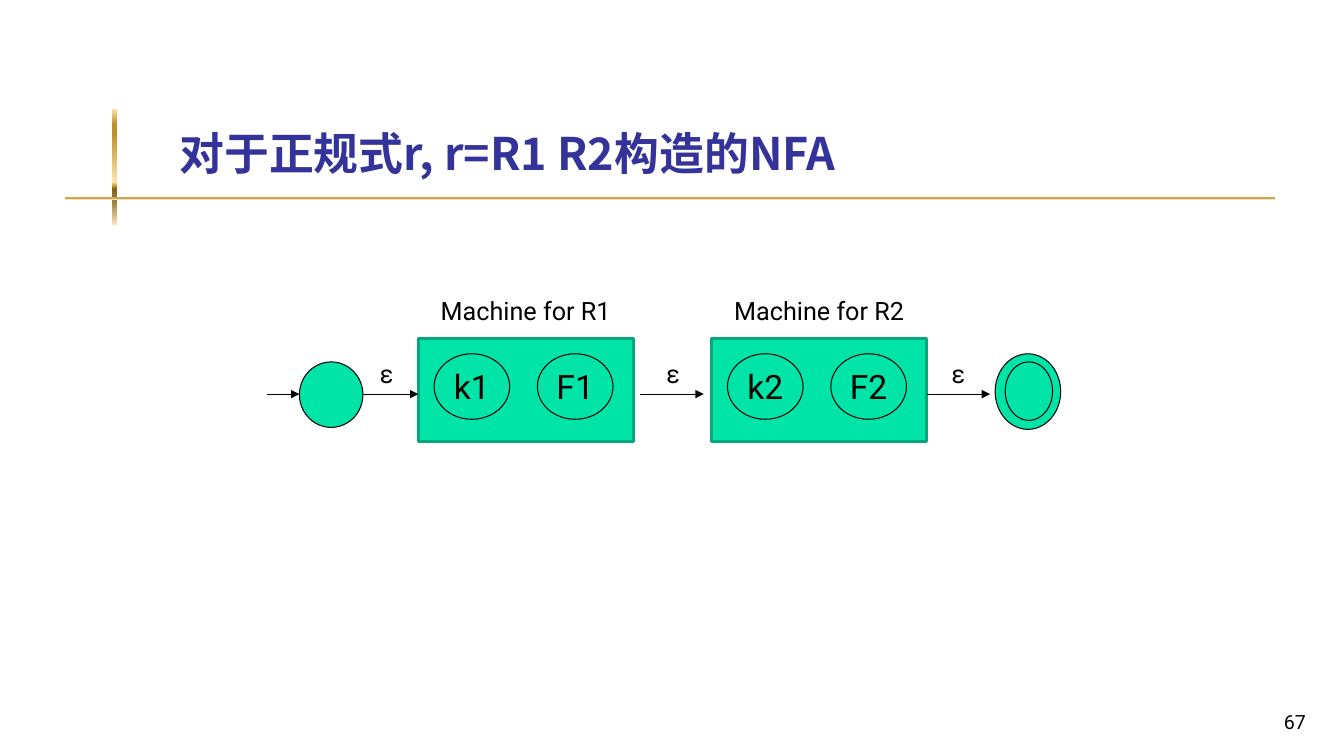
from dataclasses import dataclass

from lxml import etree
from pptx import Presentation
from pptx import util as u
from pptx.dml import color
from pptx.enum import shapes as kinds, text
from pptx.oxml import ns

WIDTH, HEIGHT = 13.33, 7.5
COLUMN = u.Inches(WIDTH) / 133.3
ROW = u.Inches(HEIGHT) / 75
AXIS = 39.1
BOX_TOP, BOX_WIDTH, BOX_HEIGHT = 33.6, 21.3, 10.2
STATE_TOP = 35.1


@dataclass(frozen=True)
class Theme:
    """Colours, fonts and type sizes of the slide."""

    ink: str = "000000"
    title: str = "333399"
    fill: str = "00E4A8"
    edge: str = "00A97C"
    gold: tuple = (
        (0, "FBE4AE"), (13, "BD922A"), (21, "BD922A"), (63, "FBE4AE"),
        (67, "BD922A"), (69, "835E17"), (82, "A28949"), (100, "FAE3B7"),
    )
    font: str = "Roboto"
    title_font: str = "Noto Sans CJK JP"
    title_size: int = 32
    state_size: int = 24
    label_size: int = 18
    number_size: int = 14
    thin: float = 0.75
    thick: float = 2


THEME = Theme()


def rgb(value):
    """Turn a hex string into a colour."""
    return color.RGBColor.from_string(value)


def place(left, top, width, height):
    """Turn grid columns and rows into slide lengths."""
    return (round(left * COLUMN), round(top * ROW),
            round(width * COLUMN), round(height * ROW))


def write(frame, words, size, align=text.PP_ALIGN.LEFT,
          anchor=text.MSO_ANCHOR.TOP, wrap=True):
    """Write one run into a text frame and return the run."""
    frame.word_wrap = wrap
    frame.vertical_anchor = anchor
    paragraph = frame.paragraphs[0]
    paragraph.alignment = align
    run = paragraph.add_run()
    run.text = words
    run.font.size = u.Pt(size)
    run.font.name = THEME.font
    run.font.color.rgb = rgb(THEME.ink)
    return run


def add_title(slide, words):
    """Place and format the title placeholder."""
    title = slide.shapes.title
    title.left, title.top, title.width, title.height = place(16.8, 2.3, 113.6, 16)
    title.text_frame.auto_size = text.MSO_AUTO_SIZE.NONE
    run = write(title.text_frame, words, THEME.title_size,
                anchor=text.MSO_ANCHOR.BOTTOM)
    run.font.name = THEME.title_font
    run.font.bold = True
    run.font.color.rgb = rgb(THEME.title)
    east_asian = etree.SubElement(run.font._element, ns.qn("a:ea"))
    east_asian.set("typeface", THEME.title_font)


def add_rule(shapes, *area):
    """Add a golden bar with a vertical gradient."""
    bar = shapes.add_shape(kinds.MSO_SHAPE.RECTANGLE, *place(*area))
    bar.shadow.inherit = False
    bar.line.fill.background()
    bar.fill.gradient()
    bar.fill.gradient_angle = 270
    stops = bar._element.spPr.find(".//" + ns.qn("a:gsLst"))
    for stop in list(stops):
        stops.remove(stop)
    for position, value in THEME.gold:
        stop = etree.SubElement(stops, ns.qn("a:gs"), pos=str(position * 1000))
        etree.SubElement(stop, ns.qn("a:srgbClr"), val=value)


def add_node(shapes, kind, area, edge=THEME.ink, weight=THEME.thin):
    """Add a filled and outlined shape."""
    node = shapes.add_shape(kind, *place(*area))
    node.shadow.inherit = False
    node.fill.solid()
    node.fill.fore_color.rgb = rgb(THEME.fill)
    node.line.color.rgb = rgb(edge)
    node.line.width = u.Pt(weight)
    return node


def add_arrow(shapes, start, end):
    """Add an arrow along the axis of the automaton."""
    left, top, length, _ = place(start, AXIS, end - start, 0)
    arrow = shapes.add_connector(kinds.MSO_CONNECTOR.STRAIGHT,
                                 left, top, left + length, top)
    arrow.line.color.rgb = rgb(THEME.ink)
    arrow.line.width = u.Pt(THEME.thin)
    etree.SubElement(arrow.line._get_or_add_ln(), ns.qn("a:tailEnd"), type="triangle")
    etree.SubElement(arrow._element.spPr, ns.qn("a:effectLst"))


def add_label(shapes, words, area, size=THEME.label_size, **layout):
    """Add a text box."""
    box = shapes.add_textbox(*place(*area))
    write(box.text_frame, words, size, **layout)


def add_machine(shapes, number, left):
    """Add a machine box with its heading, first state and final state."""
    add_node(shapes, kinds.MSO_SHAPE.RECTANGLE,
             (left, BOX_TOP, BOX_WIDTH, BOX_HEIGHT), THEME.edge, THEME.thick)
    for name, offset in (("k", 1.55), ("F", 11.8)):
        state = add_node(shapes, kinds.MSO_SHAPE.OVAL,
                         (left + offset, STATE_TOP, 7.5, 6.5))
        write(state.text_frame, f"{name}{number}", THEME.state_size,
              text.PP_ALIGN.CENTER, text.MSO_ANCHOR.MIDDLE, False)
    add_label(shapes, f"Machine for R{number}", (left + 0.8, 28.8, 19.7, 4),
              align=text.PP_ALIGN.CENTER)


def main():
    """Build the slide and save it."""
    presentation = Presentation()
    presentation.slide_width = u.Inches(WIDTH)
    presentation.slide_height = u.Inches(HEIGHT)
    slide = presentation.slides.add_slide(presentation.slide_layouts[5])
    shapes = slide.shapes

    add_rule(shapes, 11.1, 10.8, 0.5, 11.5)
    add_rule(shapes, 6.5, 19.5, 120, 0.3)
    add_title(slide, "对于正规式r, r=R1 R2构造的NFA")
    add_label(shapes, "67", (102.7, 68.3, 27.8, 5), THEME.number_size,
              align=text.PP_ALIGN.RIGHT, anchor=text.MSO_ANCHOR.BOTTOM)

    for number, left in ((1, 41.5), (2, 70.6)):
        add_machine(shapes, number, left)

    entry = shapes.add_group_shape().shapes
    add_node(entry, kinds.MSO_SHAPE.OVAL, (29.7, 35.9, 6.3, 6.5))
    for start, end in ((26.5, 29.7), (36, 41.5)):
        add_arrow(entry, start, end)

    accept = shapes.add_group_shape().shapes
    for area in ((98.7, STATE_TOP, 6.5, 7.5), (99.7, 35.9, 4.7, 5.8)):
        add_node(accept, kinds.MSO_SHAPE.OVAL, area)

    for start in (63.5, 91.9):
        add_arrow(shapes, start, start + 6.3)
    for left in (36.7, 65.1, 93.4):
        add_label(shapes, "ε", (left, STATE_TOP, 3.1, 4))

    presentation.save("out.pptx")


if __name__ == "__main__":
    main()
